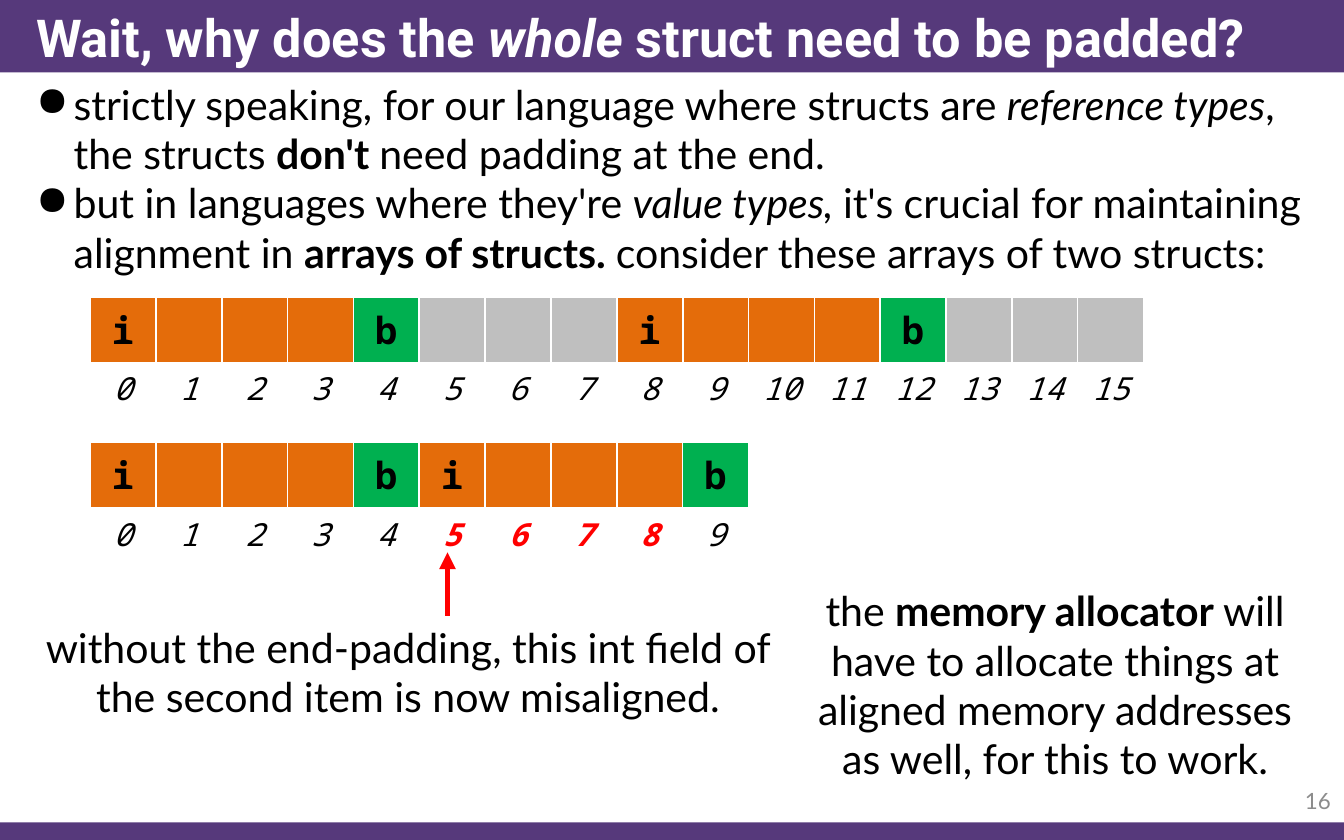
import pptx
import pptx.dml.color
import pptx.enum.shapes
import pptx.enum.text
import pptx.oxml
import pptx.oxml.ns
import pptx.util

Inches = pptx.util.Inches
Pt = pptx.util.Pt
ALIGN = pptx.enum.text.PP_ALIGN
ANCHOR = pptx.enum.text.MSO_ANCHOR

WIDTH, HEIGHT = 10, 6.25
BAR = 0.54
MARGIN = 0.17
CELL = 0.49
INDEX_HEIGHT = 0.35
ARRAY_LEFT = 0.67
BULLET_INDENT = 0.28

PURPLE, WHITE, BLACK, RED, GRAY = "56397B", "FFFFFF", "000000", "FF0000", "8C8C8C"
INT, BYTE, PADDING = "E46C0A", "00B050", "BFBFBF"
PADDED = [("i", INT)] + [("", INT)] * 3 + [("b", BYTE)] + [("", PADDING)] * 3
PACKED = PADDED[:5]


def rgb(color):
    return pptx.dml.color.RGBColor.from_string(color)


def add_xml(parent, xml):
    element = pptx.oxml.parse_xml(
        xml.replace("/>", f' {pptx.oxml.ns.nsdecls("a")}/>', 1) if xml.endswith("/>")
        and xml.count("<") == 1
        else xml.replace(">", f' {pptx.oxml.ns.nsdecls("a")}>', 1))
    parent.append(element)


def write(frame, *paragraphs, font="Lato", size=22, color=BLACK, bold=False, italic=False,
          align=ALIGN.LEFT, bullet=None):
    """Fill a text frame; each paragraph is a list of runs as (text, style), style "", "b" or "i"."""
    for number, runs in enumerate(paragraphs):
        paragraph = frame.add_paragraph() if number else frame.paragraphs[0]
        paragraph.alignment = align
        if bullet:
            properties = paragraph._p.get_or_add_pPr()
            properties.set("marL", str(Inches(BULLET_INDENT)))
            properties.set("indent", str(-Inches(BULLET_INDENT)))
            add_xml(properties, f'<a:buChar char="{bullet}"/>')
        for text, style in runs:
            run = paragraph.add_run()
            run.text = text
            run.font.name = font
            run.font.size = Pt(size)
            run.font.color.rgb = rgb(color)
            run.font.bold = bold or style == "b"
            run.font.italic = italic or style == "i"


def add_text(slide, box, *paragraphs, anchor=ANCHOR.TOP, **style):
    shape = slide.shapes.add_textbox(*map(Inches, box))
    shape.text_frame.word_wrap = True
    shape.text_frame.vertical_anchor = anchor
    write(shape.text_frame, *paragraphs, **style)


def add_bar(slide, box):
    bar = slide.shapes.add_shape(pptx.enum.shapes.MSO_SHAPE.RECTANGLE, *map(Inches, box))
    bar.shadow.inherit = False
    bar.fill.solid()
    bar.fill.fore_color.rgb = rgb(PURPLE)
    bar.line.fill.background()


def add_row(slide, left, top, height, cells, anchor, **style):
    """Add a one-row table of (text, fill, text colour, bold) cells."""
    table = slide.shapes.add_table(1, len(cells), Inches(left), Inches(top),
                                   Inches(CELL * len(cells)), Inches(height)).table
    table.first_row = table.horz_banding = False
    table.rows[0].height = Inches(height)
    for column, (text, fill, color, bold) in enumerate(cells):
        table.columns[column].width = Inches(CELL)
        cell = table.cell(0, column)
        cell.margin_left = cell.margin_right = Inches(0.07)
        cell.margin_top = cell.margin_bottom = Inches(0.03)
        cell.vertical_anchor = anchor
        for side in ("lnL", "lnR", "lnT", "lnB"):
            add_xml(cell._tc.get_or_add_tcPr(),
                    f'<a:{side} w="{Pt(1)}"><a:solidFill><a:srgbClr val="{WHITE}"/>'
                    f'</a:solidFill></a:{side}>')
        if fill:
            cell.fill.solid()
            cell.fill.fore_color.rgb = rgb(fill)
        else:
            cell.fill.background()
        if text:
            write(cell.text_frame, [(text, "")], font="Noto Sans Mono", color=color, bold=bold,
                  align=ALIGN.CENTER, **style)


def add_array(slide, left, top, struct, misaligned=()):
    """Draw an array of two structs with byte offsets underneath."""
    for item in range(2):
        first = item * len(struct)
        item_left = left + first * CELL
        fields = [(name, fill, BLACK, True) for name, fill in struct]
        offsets = [(str(offset), None, RED if offset in misaligned else BLACK,
                    offset in misaligned) for offset in range(first, first + len(struct))]
        add_row(slide, item_left, top, CELL, fields, ANCHOR.MIDDLE, size=20)
        add_row(slide, item_left, top + CELL, INDEX_HEIGHT, offsets, ANCHOR.TOP,
                size=17, italic=True)


def add_arrow(slide, start, end):
    arrow = slide.shapes.add_connector(pptx.enum.shapes.MSO_CONNECTOR.STRAIGHT,
                                       *map(Inches, start + end))
    arrow.line.color.rgb = rgb(RED)
    arrow.line.width = Pt(3)
    add_xml(arrow.line._get_or_add_ln(), '<a:tailEnd type="triangle"/>')
    add_xml(arrow._element.spPr, "<a:effectLst/>")


def add_frame(slide, title, number):
    """Add the bars, title and slide number."""
    add_bar(slide, (0, HEIGHT - 0.13, WIDTH, 0.13))
    add_bar(slide, (0, 0, WIDTH, BAR))
    add_text(slide, (MARGIN, 0, WIDTH - MARGIN, BAR), title, anchor=ANCHOR.MIDDLE,
             font="Roboto", size=28, color=WHITE, bold=True)
    add_text(slide, (WIDTH - 0.75, 5.79, 0.75, 0.33), [(number, "")], anchor=ANCHOR.MIDDLE,
             size=12, color=GRAY, align=ALIGN.RIGHT)


def main():
    presentation = pptx.Presentation()
    presentation.slide_width, presentation.slide_height = Inches(WIDTH), Inches(HEIGHT)
    slide = presentation.slides.add_slide(presentation.slide_layouts[6])

    add_frame(slide, [("Wait, why does the ", ""), ("whole", "i"),
                      (" struct need to be padded?", "")], "16")
    add_text(slide, (MARGIN, BAR, WIDTH - MARGIN, 1.75),
             [("strictly speaking, for our language where structs are ", ""),
              ("reference types", "i"), (", the structs ", ""), ("don't ", "b"),
              ("need padding at the end.", "")],
             [("but in languages where they're ", ""), ("value types, ", "i"),
              ("it's crucial for maintaining alignment in ", ""),
              ("arrays of structs. ", "b"), ("consider these arrays of two structs:", "")],
             bullet="●")

    packed_top = 3.29
    add_array(slide, ARRAY_LEFT, 2.21, PADDED)
    add_array(slide, ARRAY_LEFT, packed_top, PACKED, misaligned=range(5, 9))

    arrow_x, arrow_tip = 3.33, packed_top + CELL + INDEX_HEIGHT - 0.02
    caption_top = 4.58
    add_text(slide, (0.21, caption_top, 5.65, 0.84),
             [("without the end-padding, this int field of the second item is now misaligned.",
               "")], align=ALIGN.CENTER)
    add_arrow(slide, (arrow_x, caption_top), (arrow_x, arrow_tip))
    add_text(slide, (5.85, 4.31, 4, 1.58),
             [("the ", ""), ("memory allocator ", "b"),
              ("will have to allocate things at aligned memory addresses as well, "
               "for this to work.", "")], align=ALIGN.CENTER)
    presentation.save("out.pptx")


if __name__ == "__main__":
    main()
